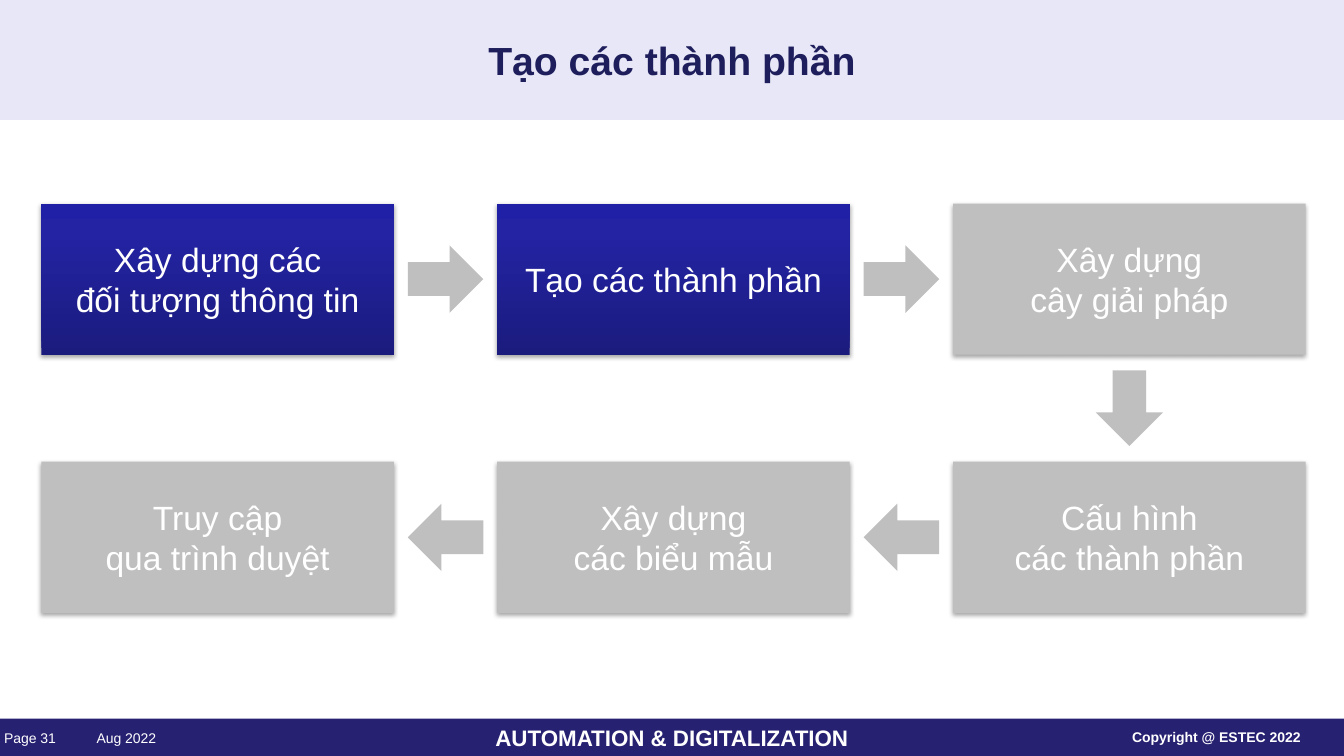
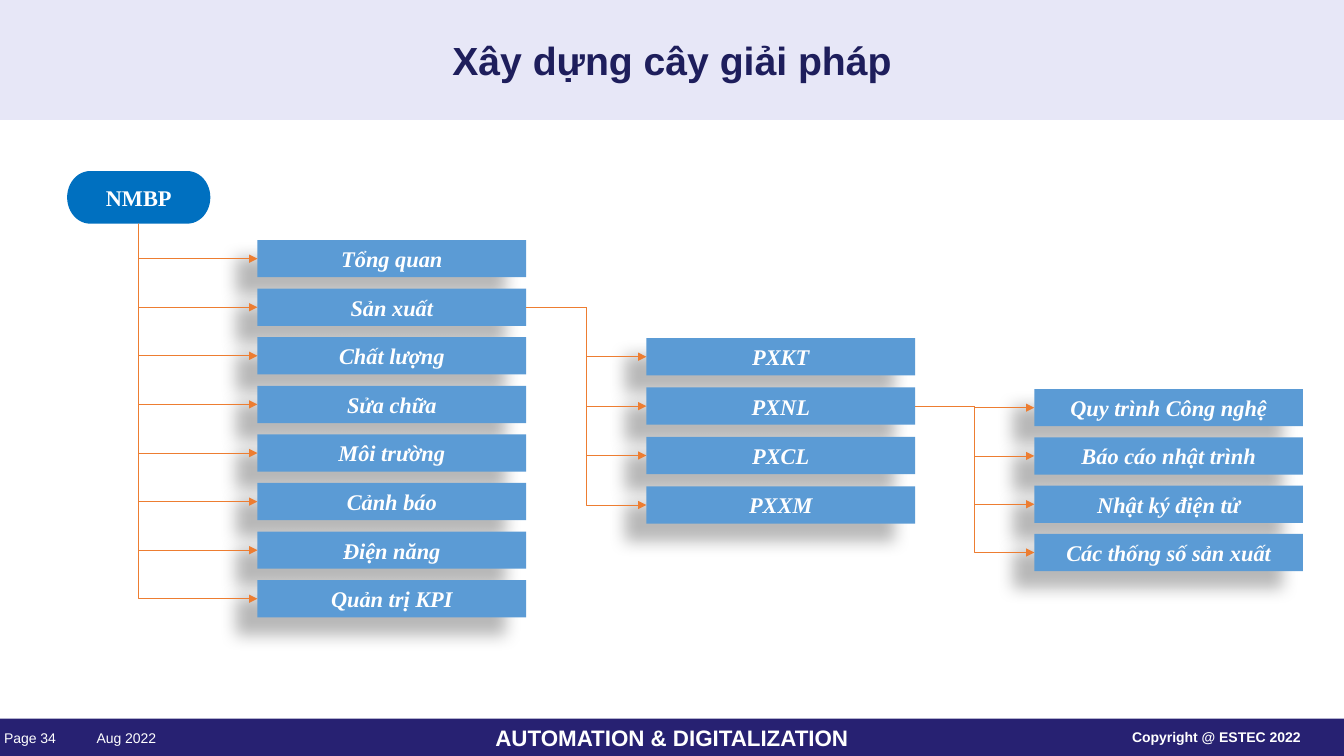
from copy import deepcopy
from itertools import pairwise
from math import atan2, degrees

from lxml.etree import SubElement
from pptx import Presentation
from pptx.dml.color import RGBColor
from pptx.enum.shapes import MSO_CONNECTOR, MSO_SHAPE
from pptx.enum.text import MSO_ANCHOR, PP_ALIGN
from pptx.oxml.ns import qn
from pptx.util import Pt

WIDTH, HEIGHT = 960.5, 540
WHITE, NAVY, LILAC, TITLE_INK = "FFFFFF", "272172", "E7E7F7", "1E1E5C"
GREY, NODE_BLUE, ROOT_BLUE, ORANGE = "BFBFBF", "5B9BD5", "0070C0", "ED7D31"
DONE_STOPS = [(0, "1B1B7E"), (0.8, "2323A3"), (1, "2020A6")]
SANS, SERIF = "Arial", "Times New Roman"
TITLE_HEIGHT, FOOTER_TOP = 85.7, 513.4

STEP_SHADOW = {"alpha": 35, "blur": 3.1, "distance": 1.8, "angle": 90}
NODE_SHADOW = {"alpha": 28, "blur": 11.8, "distance": 19.7, "angle": 141}

STEPS_PAGE = ("Tạo các thành phần", "Page 31")
STEPS = [
    ("Xây dựng các\nđối tượng thông tin", 0, 0, True),
    ("Tạo các thành phần", 1, 0, True),
    ("Xây dựng\ncây giải pháp", 2, 0, False),
    ("Cấu hình\ncác thành phần", 2, 1, False),
    ("Xây dựng\ncác biểu mẫu", 1, 1, False),
    ("Truy cập\nqua trình duyệt", 0, 1, False),
]
STEP_LEFT, STEP_TOP, STEP_PITCH_X, STEP_PITCH_Y = 29.5, 145.4, 325.8, 184.4
STEP_WIDTH, STEP_HEIGHT = 252, 108
ARROW_WIDTH, ARROW_HEIGHT = 54, 48.2

TREE_PAGE = ("Xây dựng cây giải pháp", "Page 34")
ROOT = "NMBP"
BRANCHES = [
    {"parent": ROOT, "left": 184, "top": 171.5, "pitch": 34.7,
     "names": ["Tổng quan", "Sản xuất", "Chất lượng", "Sửa chữa",
               "Môi trường", "Cảnh báo", "Điện năng", "Quản trị KPI"]},
    {"parent": "Sản xuất", "left": 462, "top": 241.5, "pitch": 35.3,
     "names": ["PXKT", "PXNL", "PXCL", "PXXM"]},
    {"parent": "PXNL", "left": 739.2, "top": 277.9, "pitch": 34.5,
     "names": ["Quy trình Công nghệ", "Báo cáo nhật trình",
               "Nhật ký điện tử", "Các thống số sản xuất"]},
]
NODE_WIDTH, NODE_HEIGHT = 192, 26.6
BOTTOM_SITE, LEFT_SITE, RIGHT_SITE = 2, 1, 3


def color(value):
    """Turn a hex string into a colour."""
    return RGBColor.from_string(value)


def write(shape, text, size, font=SANS, ink=WHITE, bold=False, italic=False,
          align=PP_ALIGN.CENTER, wrap=True, margin=None, spacing=None):
    """Put formatted text into a shape, one paragraph a line."""
    frame = shape.text_frame
    frame.text = text
    frame.word_wrap = wrap
    frame.vertical_anchor = MSO_ANCHOR.MIDDLE
    if margin is not None:
        frame.margin_left = frame.margin_right = Pt(margin)
        frame.margin_top = frame.margin_bottom = Pt(margin)
    for paragraph in frame.paragraphs:
        paragraph.alignment = align
        paragraph.line_spacing = spacing
        paragraph.font.size = Pt(size)
        paragraph.font.name = font
        paragraph.font.bold = bold
        paragraph.font.italic = italic
        paragraph.font.color.rgb = color(ink)


def add_block(slide, preset, left, top, width, height, fill, shadow=None):
    """Draw a borderless preset shape with an optional soft shadow."""
    block = slide.shapes.add_shape(preset, Pt(left), Pt(top), Pt(width), Pt(height))
    block.line.fill.background()
    block.shadow.inherit = False
    if isinstance(fill, str):
        block.fill.solid()
        block.fill.fore_color.rgb = color(fill)
    else:
        fill_with_stops(block, fill)
    if shadow:
        cast_shadow(block, **shadow)
    return block


def fill_with_stops(block, stops):
    """Fill a shape with a three-stop gradient rising from the bottom."""
    block.fill.gradient()
    block.fill.gradient_angle = 90
    stop_list = block.element.spPr.find(".//" + qn("a:gsLst"))
    stop_list.append(deepcopy(stop_list[0]))
    for stop, (position, shade) in zip(block.fill.gradient_stops, stops):
        stop.position = position
        stop.color.rgb = color(shade)


def cast_shadow(block, alpha, blur, distance, angle):
    """Add a black outer shadow."""
    effects = block.element.spPr.find(qn("a:effectLst"))
    outer = SubElement(effects, qn("a:outerShdw"), blurRad=str(Pt(blur)),
                       dist=str(Pt(distance)), dir=str(angle * 60000),
                       algn="ctr", rotWithShape="0")
    black = SubElement(outer, qn("a:srgbClr"), val="000000")
    SubElement(black, qn("a:alpha"), val=str(alpha * 1000))


def add_label(slide, text, left, top, width, height, **style):
    """Add a text box."""
    label = slide.shapes.add_textbox(Pt(left), Pt(top), Pt(width), Pt(height))
    write(label, text, **style)


def add_page(deck, title, page):
    """Add a slide with the shared title band and footer."""
    slide = deck.slides.add_slide(deck.slide_layouts[6])
    add_block(slide, MSO_SHAPE.RECTANGLE, 0, 0, WIDTH, TITLE_HEIGHT, LILAC)
    footer = add_block(slide, MSO_SHAPE.RECTANGLE, 0, FOOTER_TOP,
                       WIDTH, HEIGHT - FOOTER_TOP, NAVY)
    write(footer, "AUTOMATION & DIGITALIZATION", size=16, bold=True, margin=3.6)
    for text, left, width, style in [
        ("Aug 2022", 58.3, 53.3, {"align": PP_ALIGN.RIGHT, "spacing": 1.1}),
        (page, 2.9, 53.3, {"align": PP_ALIGN.LEFT, "spacing": 1.1}),
        ("Copyright @ ESTEC 2022", 809, 131, {"align": PP_ALIGN.LEFT, "bold": True}),
    ]:
        add_label(slide, text, left, 520.6, width, 12.2, size=10, margin=0, **style)
    add_label(slide, title, 184, 0, WIDTH - 2 * 184, TITLE_HEIGHT,
              size=28, bold=True, ink=TITLE_INK)
    return slide


def add_elbow(slide, parent, child, downward):
    """Join two nodes with an elbow arrow, leaving downward or to the right."""
    elbow = slide.shapes.add_connector(MSO_CONNECTOR.ELBOW, 0, 0, 0, 0)
    elbow.begin_connect(parent, BOTTOM_SITE if downward else RIGHT_SITE)
    elbow.end_connect(child, LEFT_SITE)
    elbow.line.color.rgb = color(ORANGE)
    elbow.line.width = Pt(0.5)
    properties = elbow.element.spPr
    SubElement(properties.find(qn("a:ln")), qn("a:tailEnd"), type="triangle")
    SubElement(properties, qn("a:effectLst"))
    if downward:
        across, down = elbow.width, elbow.height
        elbow.left += (across - down) // 2
        elbow.top += (down - across) // 2
        elbow.width, elbow.height = down, across
        frame = properties.find(qn("a:xfrm"))
        frame.set("rot", str(270 * 60000))
        frame.set("flipH", "1")
        properties.find(qn("a:prstGeom")).set("prst", "bentConnector2")


def build_steps(deck):
    """Build the slide with the chain of work steps."""
    slide = add_page(deck, *STEPS_PAGE)
    centers = []
    for text, column, row, done in STEPS:
        left = STEP_LEFT + column * STEP_PITCH_X
        top = STEP_TOP + row * STEP_PITCH_Y
        step = add_block(slide, MSO_SHAPE.RECTANGLE, left, top, STEP_WIDTH, STEP_HEIGHT,
                         DONE_STOPS if done else GREY, STEP_SHADOW)
        write(step, text, size=24, wrap=False)
        centers.append((left + STEP_WIDTH / 2, top + STEP_HEIGHT / 2))
    for (x1, y1), (x2, y2) in pairwise(centers):
        arrow = add_block(slide, MSO_SHAPE.RIGHT_ARROW,
                          (x1 + x2 - ARROW_WIDTH) / 2, (y1 + y2 - ARROW_HEIGHT) / 2,
                          ARROW_WIDTH, ARROW_HEIGHT, GREY)
        arrow.rotation = degrees(atan2(y2 - y1, x2 - x1))


def build_tree(deck):
    """Build the slide with the solution tree."""
    slide = add_page(deck, *TREE_PAGE)
    root = add_block(slide, MSO_SHAPE.FLOWCHART_TERMINATOR, 48, 122.2, 102.4, 37.6, ROOT_BLUE)
    write(root, ROOT, size=16, font=SERIF, bold=True)
    nodes = {ROOT: root}
    for branch in BRANCHES:
        for row, name in enumerate(branch["names"]):
            nodes[name] = add_block(slide, MSO_SHAPE.RECTANGLE, branch["left"],
                                    branch["top"] + row * branch["pitch"],
                                    NODE_WIDTH, NODE_HEIGHT, NODE_BLUE, NODE_SHADOW)
            write(nodes[name], name, size=16, font=SERIF, bold=True, italic=True)
        for name in branch["names"]:
            add_elbow(slide, nodes[branch["parent"]], nodes[name],
                      downward=branch["parent"] == ROOT)


def main():
    """Build and save the deck."""
    deck = Presentation()
    deck.slide_width, deck.slide_height = Pt(WIDTH), Pt(HEIGHT)
    build_steps(deck)
    build_tree(deck)
    deck.save("out.pptx")


if __name__ == "__main__":
    main()
